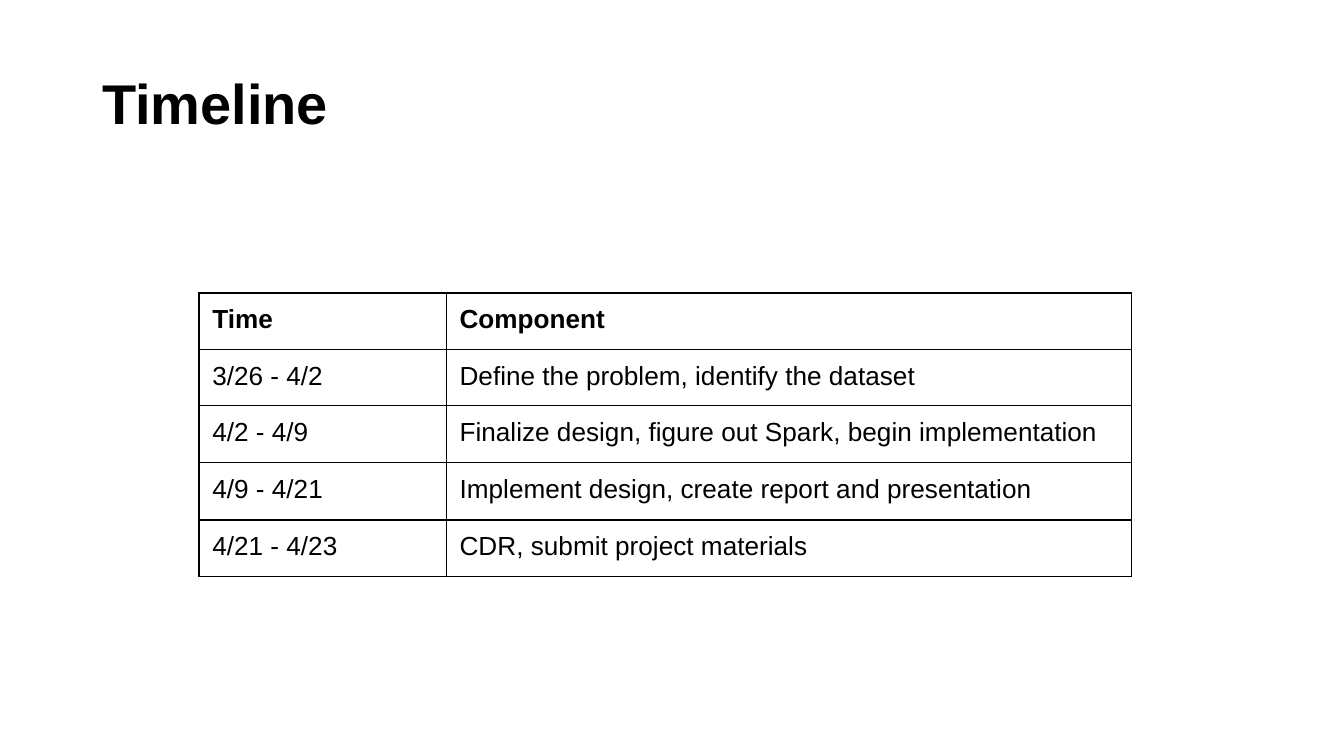
from dataclasses import dataclass

from lxml import etree
from pptx import Presentation
from pptx.dml.color import RGBColor
from pptx.enum import text
from pptx.oxml import ns
from pptx.util import Inches, Pt


@dataclass(frozen=True)
class Theme:
    font: str = "Arial"
    ink: str = "000000"
    title_size: float = 30
    body_size: float = 14
    border: float = 0.75


THEME = Theme()
SCHEDULE = [
    ("Time", "Component"),
    ("3/26 - 4/2", "Define the problem, identify the dataset"),
    ("4/2 - 4/9", "Finalize design, figure out Spark, begin implementation"),
    ("4/9 - 4/21", "Implement design, create report and presentation"),
    ("4/21 - 4/23", "CDR, submit project materials"),
]
COLUMN_WIDTHS = [1.84, 5.1]
ROW_HEIGHTS = [0.42, 0.42, 0.42, 0.43, 0.42]


def set_attrs(obj, values):
    for name, value in values.items():
        setattr(obj, name, value)


def set_margins(obj, across, down):
    insets = {"left": across, "top": down, "right": across, "bottom": down}
    set_attrs(obj, {f"margin_{side}": Inches(n) for side, n in insets.items()})


def write(tf, words, size, bold):
    r = tf.paragraphs[0].add_run()
    r.text = words
    set_attrs(r.font, {"name": THEME.font, "size": Pt(size), "bold": bold})
    r.font.color.rgb = RGBColor.from_string(THEME.ink)


def set_borders(cell):
    props = cell._tc.get_or_add_tcPr()
    for i, side in enumerate(("lnL", "lnR", "lnT", "lnB")):
        line = etree.Element(ns.qn(f"a:{side}"), w=str(Pt(THEME.border)))
        fill = etree.SubElement(line, ns.qn("a:solidFill"))
        etree.SubElement(fill, ns.qn("a:srgbClr"), val=THEME.ink)
        props.insert(i, line)


def add_title(slide, words, left, top, width, height):
    box = [Inches(n) for n in (left, top, width, height)]
    tf = slide.shapes.add_textbox(*box).text_frame
    set_attrs(tf, {"word_wrap": True, "vertical_anchor": text.MSO_ANCHOR.MIDDLE})
    set_margins(tf, 0.07, 0.07)
    write(tf, words, THEME.title_size, True)


def add_schedule(slide, rows, left, top):
    box = [Inches(n) for n in (left, top, sum(COLUMN_WIDTHS), sum(ROW_HEIGHTS))]
    table = slide.shapes.add_table(len(rows), len(COLUMN_WIDTHS), *box).table
    set_attrs(table, {"first_row": False, "horz_banding": False})
    for column, width in zip(table.columns, COLUMN_WIDTHS):
        column.width = Inches(width)
    for i, (row, height, entries) in enumerate(zip(table.rows, ROW_HEIGHTS, rows)):
        row.height = Inches(height)
        for cell, words in zip(row.cells, entries):
            cell.fill.background()
            set_margins(cell, 0.1, 0.09)
            set_borders(cell)
            write(cell.text_frame, words, THEME.body_size, i == 0)


def main():
    prs = Presentation()
    width = Inches(10)
    set_attrs(prs, {"slide_width": width, "slide_height": width * 9 // 16})
    slide = prs.slides.add_slide(prs.slide_layouts[6])
    add_title(slide, "Timeline", 0.69, 0.3, 8.62, 0.92)
    add_schedule(slide, SCHEDULE, 1.48, 2.18)
    prs.save("out.pptx")


if __name__ == "__main__":
    main()
